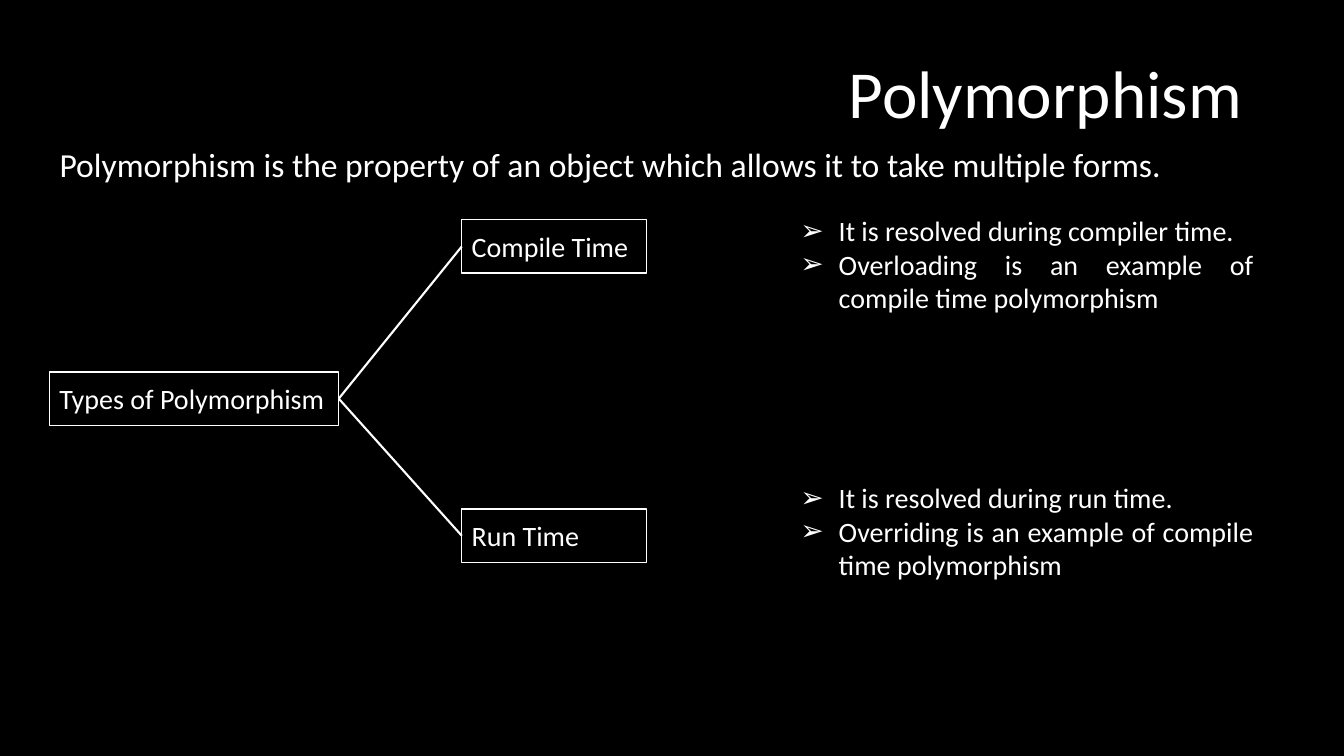
"""Build the Polymorphism slide: a definition and a tree of its two types."""
from lxml import etree
from pptx import Presentation
from pptx import util as u
from pptx.dml.color import RGBColor
from pptx.enum import shapes, text
from pptx.oxml.ns import qn

TITLE = "Polymorphism"
DEFINITION = "Polymorphism is the property of an object which allows it to take multiple forms."
ROOT = "Types of Polymorphism"
BRANCHES = [
    ("Compile Time", 2.18, 2.07,
     ["It is resolved during compiler time.",
      "Overloading is an example of compile time polymorphism"]),
    ("Run Time", 5.05, 4.72,
     ["It is resolved during run time.",
      "Overriding is an example of compile time polymorphism"]),
]
WIDTH, HEIGHT = 13.33, 7.5
LEFT, BRANCH_LEFT, NOTE_LEFT = 0.49, 4.58, 7.84
ROOT_WIDTH, BRANCH_WIDTH, NOTE_WIDTH = 2.87, 1.83, 4.69
BOX_HEIGHT, NOTE_HEIGHT, ROOT_TOP = 0.53, 1.19, 3.69
INDENT = 0.38
BLACK, WHITE = "000000", "FFFFFF"
ALIGN = text.PP_ALIGN
ANCHOR = text.MSO_ANCHOR


def color(value):
    return RGBColor.from_string(value)


def inches(*lengths):
    return [u.Inches(length) for length in lengths]


def place(shape, *bounds):
    for name, value in zip(("left", "top", "width", "height"), inches(*bounds)):
        setattr(shape, name, value)


def write(shape, lines, size, align, anchor, spacing=1.0, bullet=None):
    frame = shape.text_frame
    for name, value in {"word_wrap": True, "auto_size": text.MSO_AUTO_SIZE.NONE,
                        "vertical_anchor": anchor}.items():
        setattr(frame, name, value)
    frame.text = "\n".join(lines)
    for para in frame.paragraphs:
        props = para._p.get_or_add_pPr()
        indent = u.Inches(INDENT) if bullet else 0
        props.set("marL", str(indent))
        props.set("indent", str(-indent))
        if bullet:
            etree.SubElement(props, qn("a:buFont")).set("typeface", "Arial")
            etree.SubElement(props, qn("a:buChar")).set("char", bullet)
        else:
            etree.SubElement(props, qn("a:buNone"))
        for name, value in {"alignment": align, "line_spacing": spacing,
                            "space_before": u.Pt(0)}.items():
            setattr(para, name, value)
        for span in para.runs:
            for name, value in {"name": "Calibri", "size": u.Pt(size)}.items():
                setattr(span.font, name, value)
            span.font.color.rgb = color(WHITE)


def add_node(page, label, left, top, width):
    box = page.shapes.add_shape(shapes.MSO_SHAPE.RECTANGLE,
                                *inches(left, top, width, BOX_HEIGHT))
    box.shadow.inherit = False
    box.fill.background()
    box.line.color.rgb = color(WHITE)
    box.line.width = u.Pt(1)
    write(box, [label], 20, ALIGN.LEFT, ANCHOR.MIDDLE)
    return box


def add_link(page, start, end):
    link = page.shapes.add_connector(shapes.MSO_CONNECTOR.STRAIGHT, 0, 0, 0, 0)
    link.begin_connect(start, 3)
    link.end_connect(end, 1)
    link.line.color.rgb = color(WHITE)
    link.line.width = u.Pt(1.5)
    etree.SubElement(link._element.spPr, qn("a:effectLst"))


def main():
    deck = Presentation()
    deck.slide_width, deck.slide_height = inches(WIDTH, HEIGHT)
    page = deck.slides.add_slide(deck.slide_layouts[1])
    page.background.fill.solid()
    page.background.fill.fore_color.rgb = color(BLACK)

    title, body = page.placeholders
    place(title, 0.61, 0.5, 11.81, 0.92)
    title.fill.solid()
    title.fill.fore_color.rgb = color(BLACK)
    write(title, [TITLE], 48, ALIGN.RIGHT, ANCHOR.MIDDLE, 0.9)
    place(body, LEFT, 1.42, 12.41, 5.68)
    write(body, [DEFINITION], 24, ALIGN.JUSTIFY, ANCHOR.TOP, 0.9)

    root = add_node(page, ROOT, LEFT, ROOT_TOP, ROOT_WIDTH)
    for label, top, note_top, points in BRANCHES:
        branch = add_node(page, label, BRANCH_LEFT, top, BRANCH_WIDTH)
        note = page.shapes.add_textbox(
            *inches(NOTE_LEFT, note_top, NOTE_WIDTH, NOTE_HEIGHT))
        write(note, points, 20, ALIGN.JUSTIFY, ANCHOR.TOP, bullet="➢")
        add_link(page, root, branch)

    deck.save("out.pptx")


if __name__ == "__main__":
    main()
